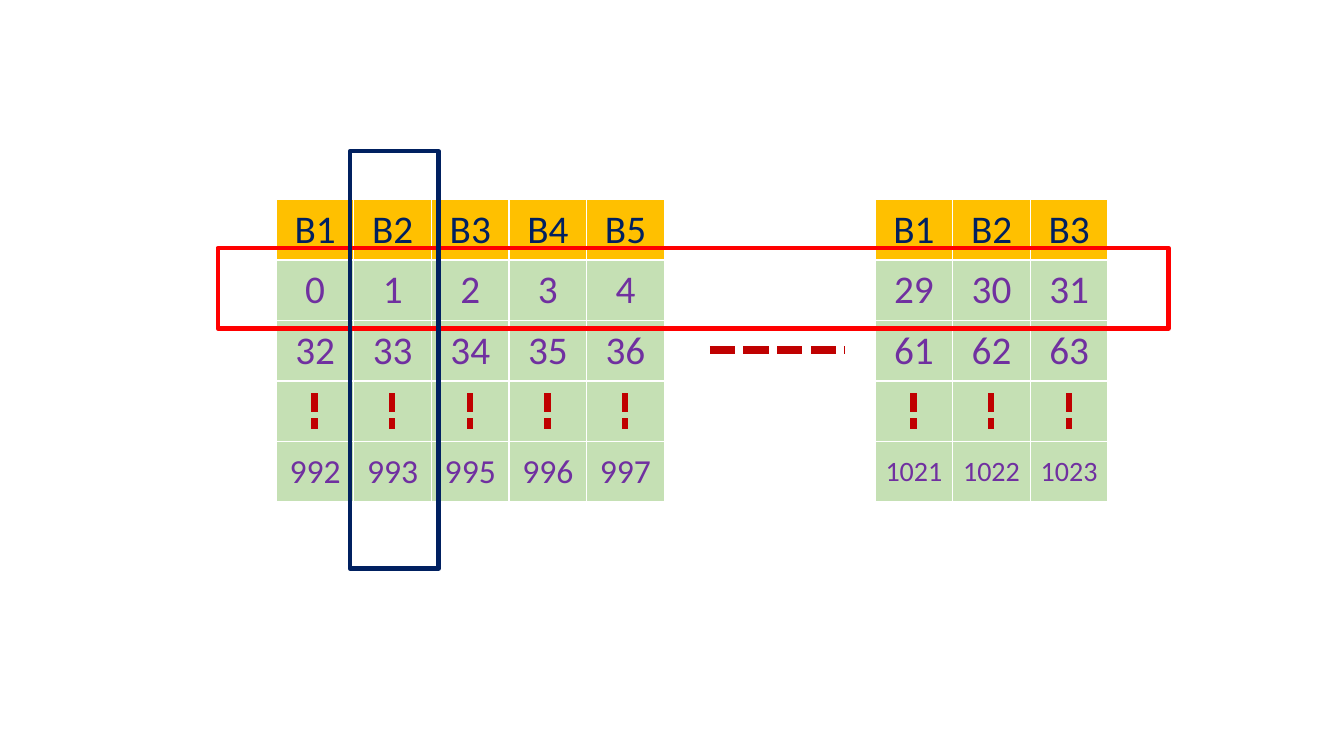
from dataclasses import dataclass

from lxml import etree
from pptx import Presentation
from pptx.dml.color import RGBColor
from pptx.enum.dml import MSO_LINE
from pptx.enum.shapes import MSO_CONNECTOR, MSO_SHAPE
from pptx.enum.text import MSO_ANCHOR, PP_ALIGN
from pptx.oxml.ns import qn
from pptx.util import Emu, Pt

STRAIGHT = MSO_CONNECTOR.STRAIGHT
RECTANGLE = MSO_SHAPE.RECTANGLE
SQUARE_DOT = MSO_LINE.SQUARE_DOT
MIDDLE = MSO_ANCHOR.MIDDLE
CENTER = PP_ALIGN.CENTER

EMU_PER_PX = 9144  # 100 px to the inch
COLUMN_WIDTH = 77
ROW_HEIGHT = 60
TABLE_TOP = 198
DOTS_ROW = 3
DOTS_TOP, DOTS_BOTTOM = 390, 426


@dataclass(frozen=True)
class Theme:
    font: str = "Calibri"
    navy: str = "002060"
    purple: str = "7030A0"
    red: str = "FF0000"
    dark_red: str = "C00000"
    header_fill: str = "FFC000"
    body_fill: str = "C5E0B4"
    text_size: int = 28
    wide_size: int = 24
    widest_size: int = 20
    frame_width: float = 3
    row_dots_width: float = 6
    column_dots_width: float = 4.5


THEME = Theme()


def px(length):
    return Emu(length * EMU_PER_PX)


def rgb(color):
    return RGBColor.from_string(color)


def size_for(text):
    """Long numbers get smaller type so that they stay on one line."""
    return {3: THEME.wide_size, 4: THEME.widest_size}.get(len(text), THEME.text_size)


def fill_cell(cell, text, is_header):
    cell.fill.solid()
    cell.fill.fore_color.rgb = rgb(THEME.header_fill if is_header else THEME.body_fill)
    cell.vertical_anchor = MIDDLE
    cell.margin_left = cell.margin_right = px(5)
    if not text:
        return
    cell.text = text
    paragraph = cell.text_frame.paragraphs[0]
    paragraph.alignment = CENTER
    font = paragraph.font
    font.name = THEME.font
    font.size = Pt(size_for(text))
    font.bold = False
    font.color.rgb = rgb(THEME.navy if is_header else THEME.purple)


def add_dots(slide, start, end, width):
    line = slide.shapes.add_connector(STRAIGHT, *map(px, start + end))
    line.line.color.rgb = rgb(THEME.dark_red)
    line.line.width = Pt(width)
    line.line.dash_style = SQUARE_DOT
    etree.SubElement(line._element.spPr, qn("a:effectLst"))


def add_bank_table(slide, left, rows):
    columns = len(rows[0])
    box = (left, TABLE_TOP, columns * COLUMN_WIDTH, len(rows) * ROW_HEIGHT)
    table = slide.shapes.add_table(len(rows), columns, *map(px, box)).table
    for row_index, row in enumerate(rows):
        for column_index, text in enumerate(row):
            fill_cell(table.cell(row_index, column_index), text, row_index == 0)

    # Vertical dots down the middle of each cell in the skipped row
    for column_index in range(columns):
        center = left + column_index * COLUMN_WIDTH + COLUMN_WIDTH // 2
        add_dots(slide, (center, DOTS_TOP), (center, DOTS_BOTTOM), THEME.column_dots_width)


def add_frame(slide, box, color):
    frame = slide.shapes.add_shape(RECTANGLE, *map(px, box))
    frame.shadow.inherit = False
    frame.fill.background()
    frame.line.color.rgb = rgb(color)
    frame.line.width = Pt(THEME.frame_width)


def bank_rows(bank_count, first_rows, last_row):
    """Header, two rows of consecutive addresses, a skipped row, the last row."""
    header = [f"B{number}" for number in range(1, bank_count + 1)]
    rows = [[str(first + step) for step in range(bank_count)] for first in first_rows]
    rows = [header, *rows, last_row]
    rows.insert(DOTS_ROW, [""] * bank_count)
    return rows


def main():
    presentation = Presentation()
    presentation.slide_width = px(1333)
    presentation.slide_height = px(750)
    slide = presentation.slides.add_slide(presentation.slide_layouts[6])

    # Memory banks and the gap between them
    add_bank_table(slide, 274, bank_rows(5, (0, 32), ["992", "993", "995", "996", "997"]))
    add_bank_table(slide, 868, bank_rows(3, (29, 61), ["1021", "1022", "1023"]))
    add_dots(slide, (704, 347), (838, 347), THEME.row_dots_width)

    # Highlighted row and column
    add_frame(slide, (216, 246, 943, 80), THEME.red)
    add_frame(slide, (347, 150, 88, 414), THEME.navy)

    presentation.save("out.pptx")


if __name__ == "__main__":
    main()
